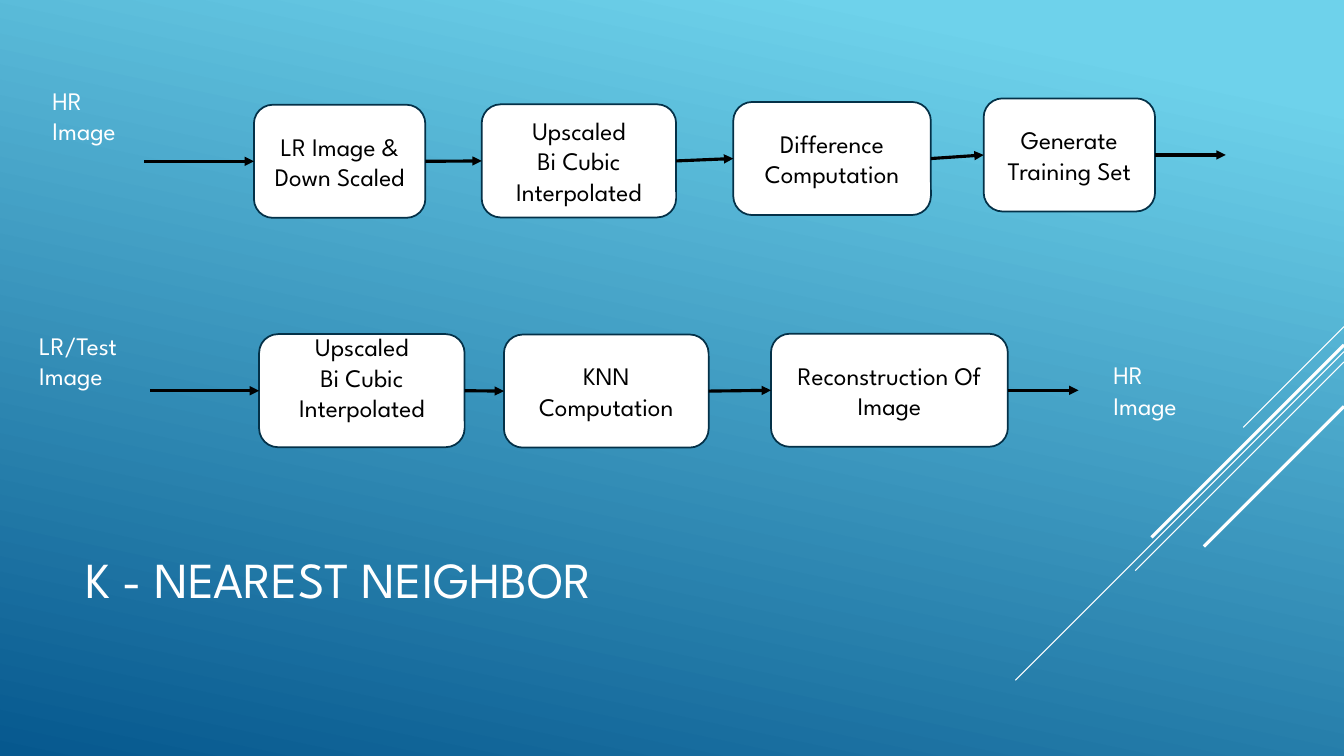
import pptx
import pptx.dml.color
import pptx.enum.shapes
import pptx.enum.text
import pptx.oxml
import pptx.oxml.ns
import pptx.util

Cm = pptx.util.Cm
Pt = pptx.util.Pt
COLOURS = {
    name: pptx.dml.color.RGBColor.from_string(value)
    for name, value in {
        "sky": "6ED2EB", "deep": "06588E", "white": "FFFFFF",
        "black": "000000", "outline": "043148",
    }.items()
}
LEFT_SITE, RIGHT_SITE = 1, 3


def write(frame, text, size=18, colour="white", align="LEFT", anchor="TOP"):
    frame.word_wrap = True
    frame.vertical_anchor = pptx.enum.text.MSO_ANCHOR[anchor]
    frame.text = text
    for para in frame.paragraphs:
        para.alignment = pptx.enum.text.PP_ALIGN[align]
        for span in para.runs:
            span.font.name = "League Spartan"
            span.font.size = Pt(size)
            span.font.color.rgb = COLOURS[colour]


def draw_line(start, end, colour, width, arrow=False):
    line = page.shapes.add_connector(
        pptx.enum.shapes.MSO_CONNECTOR.STRAIGHT,
        *[Cm(value) for value in (*start, *end)])
    line.line.color.rgb = COLOURS[colour]
    line.line.width = Pt(width)
    if arrow:
        tail = pptx.oxml.parse_xml(
            f'<a:tailEnd {pptx.oxml.ns.nsdecls("a")} type="triangle"/>')
        line.line._get_or_add_ln().append(tail)
    properties = line._element.spPr
    properties.append(properties.makeelement(pptx.oxml.ns.qn("a:effectLst"), {}))
    return line


deck = pptx.Presentation()
deck.slide_width, deck.slide_height = Cm(33.87), Cm(19.05)
page = deck.slides.add_slide(deck.slide_layouts[5])

# Background gradient
background = page.background.fill
background.gradient()
background.gradient_angle = 258
for stop, (position, colour) in zip(background.gradient_stops,
                                    [(0.1, "sky"), (1, "deep")]):
    stop.position = position
    stop.color.rgb = COLOURS[colour]

# Diagonal lines running down from the right edge at 45 degrees
for top, length, width in [(8.23, 2.54, 0.75), (8.86, 8.28, 0.75),
                           (9.12, 5.26, 0.75), (8.69, 4.85, 2.25),
                           (10.24, 3.53, 2.25)]:
    draw_line((33.87, top), (33.87 - length, top + length), "white", width)

# Title
title = page.shapes.title
title.left, title.top, title.width, title.height = (
    Cm(1.9), Cm(12.47), Cm(23.7), Cm(4.19))
write(title.text_frame, "K - NEAREST NEIGHBOR", size=36, anchor="MIDDLE")

# Two flows: start of the first arrow, end of the last arrow, then the
# boxes as left, top, width, bottom margin and text
box_height = 2.85
flows = [
    (3.63, 30.89, [
        (6.4, 2.64, 4.32, 0.13, "LR Image & Down Scaled"),
        (12.14, 2.63, 4.9, 0.13, "Upscaled\nBi Cubic Interpolated"),
        (18.48, 2.57, 4.98, 0.13, "Difference\nComputation"),
        (24.79, 2.48, 4.32, 0.13, "Generate Training Set"),
    ]),
    (3.78, 27.18, [
        (6.53, 8.42, 5.18, 0.81, "Upscaled\nBi Cubic Interpolated"),
        (12.7, 8.43, 5.16, 0.13, "KNN Computation"),
        (19.43, 8.41, 5.97, 0.13, "Reconstruction Of Image"),
    ]),
]
for flow_start, flow_end, steps in flows:
    boxes = []
    for left, top, width, bottom_margin, text in steps:
        box = page.shapes.add_shape(
            pptx.enum.shapes.MSO_SHAPE.ROUNDED_RECTANGLE,
            Cm(left), Cm(top), Cm(width), Cm(box_height))
        box.shadow.inherit = False
        box.fill.solid()
        box.fill.fore_color.rgb = COLOURS["white"]
        box.line.color.rgb = COLOURS["outline"]
        box.line.width = Pt(1.25)
        write(box.text_frame, text, colour="black", align="CENTER", anchor="MIDDLE")
        box.text_frame.margin_bottom = Cm(bottom_margin)
        boxes.append(box)

    # Arrows into, between and out of the boxes
    first_middle = steps[0][1] + box_height / 2
    last_middle = steps[-1][1] + box_height / 2
    for before, after in zip([None, *boxes], [*boxes, None]):
        arrow = draw_line((flow_start, first_middle), (flow_end, last_middle),
                          "black", 2.25, arrow=True)
        if before is not None:
            arrow.begin_connect(before, RIGHT_SITE)
        if after is not None:
            arrow.end_connect(after, LEFT_SITE)

# Input and output labels
for left, top, width, text in [(1.07, 2.03, 2.57, "HR Image"),
                               (0.74, 8.2, 3.15, "LR/Test Image"),
                               (27.81, 8.94, 2.57, "HR Image")]:
    label = page.shapes.add_textbox(Cm(left), Cm(top), Cm(width), Cm(1.8))
    write(label.text_frame, text)

deck.save("out.pptx")
